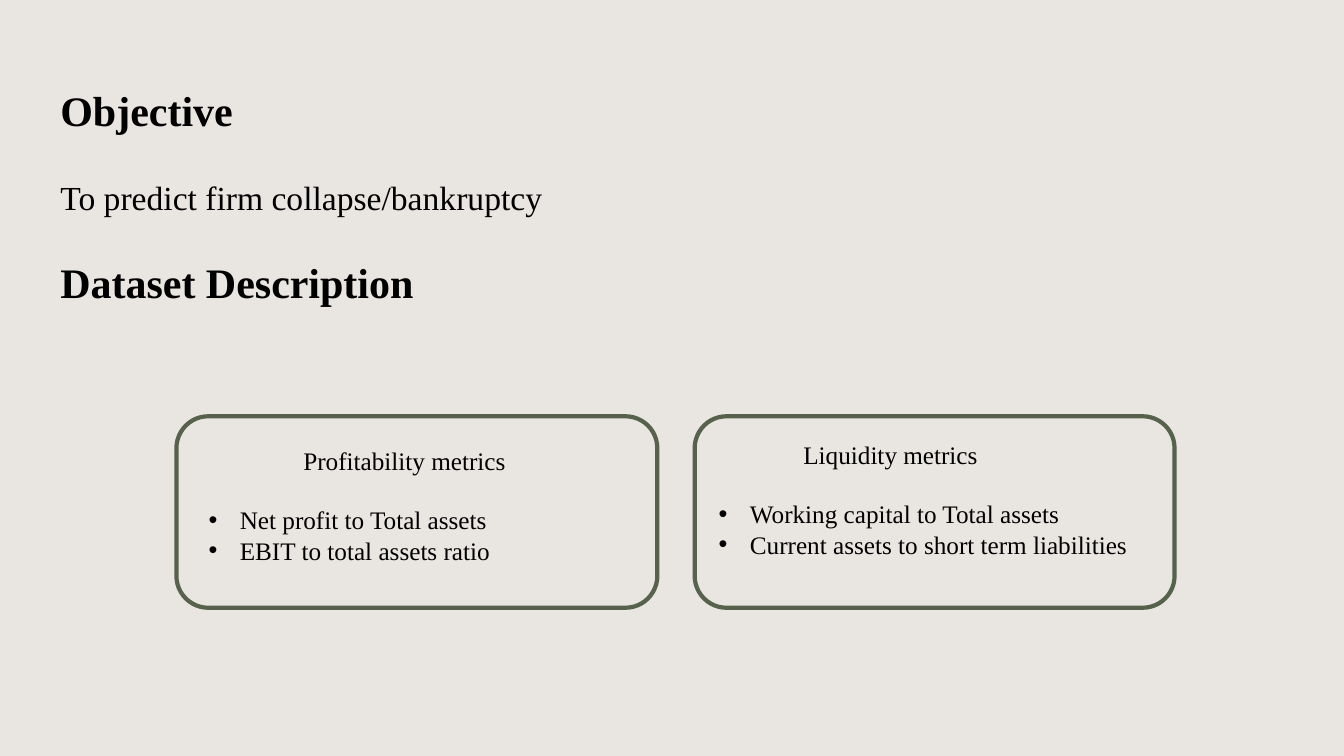
from lxml.etree import SubElement
from pptx import Presentation
from pptx.dml.color import RGBColor
from pptx.enum.shapes import MSO_SHAPE
from pptx.enum.text import MSO_ANCHOR
from pptx.oxml.ns import qn
from pptx.util import Inches, Pt

FONT = "Times New Roman"
BACKGROUND, INK, OUTLINE = "E9E5E1", "000000", "57624D"
BULLET_INDENT = 0.31


def color(hex_code):
    return RGBColor.from_string(hex_code)


def format_paragraph(paragraph, size, bold=False):
    for run in paragraph.runs:
        run.font.name = FONT
        run.font.size = Pt(size)
        run.font.bold = bold
        run.font.color.rgb = color(INK)


def add_text(slide, box, lines, size, bold=False, anchor=MSO_ANCHOR.TOP):
    frame = slide.shapes.add_textbox(*map(Inches, box)).text_frame
    frame.word_wrap = True
    frame.vertical_anchor = anchor
    frame.text = "\n".join(lines)
    for paragraph in frame.paragraphs:
        format_paragraph(paragraph, size, bold)
    return frame.paragraphs


def indent(paragraph, left, first=0):
    properties = paragraph._p.get_or_add_pPr()
    properties.set("marL", str(Inches(left)))
    properties.set("indent", str(Inches(first)))
    return properties


def add_bullet(paragraph):
    properties = indent(paragraph, BULLET_INDENT, -BULLET_INDENT)
    SubElement(properties, qn("a:buFont"), typeface="Arial")
    SubElement(properties, qn("a:buChar"), char="•")


def add_heading(slide, box, heading):
    add_text(slide, box, [heading], 30, True, MSO_ANCHOR.MIDDLE)


def add_objective(slide, box):
    left, top, width, height = box
    add_heading(slide, (left, top, width, 1.37), "Objective")
    statement, = add_text(slide, (left, top + 1.27, width, height - 1.27),
                          ["To predict firm collapse/bankruptcy"], 24)
    statement.line_spacing = 1.1
    statement.space_before = Pt(10)


def add_metrics_card(slide, box, text_inset, text_width, heading_indent, heading, metrics):
    left, top, width, height = box
    # Outlined card
    card = slide.shapes.add_shape(MSO_SHAPE.ROUNDED_RECTANGLE, *map(Inches, box))
    card.shadow.inherit = False
    card.fill.background()
    card.line.color.rgb = color(OUTLINE)
    card.line.width = Pt(3)
    # Heading and bulleted metrics
    inset_x, inset_y = text_inset
    title, *bullets = add_text(
        slide, (left + inset_x, top + inset_y, text_width, 1.31), [heading, *metrics], 18)
    indent(title, heading_indent)
    title.space_after = Pt(20.7)
    for bullet in bullets:
        add_bullet(bullet)


def main():
    presentation = Presentation()
    presentation.slide_width = Inches(13.33)
    presentation.slide_height = Inches(7.5)
    slide = presentation.slides.add_slide(presentation.slide_layouts[6])
    slide.background.fill.solid()
    slide.background.fill.fore_color.rgb = color(BACKGROUND)

    add_objective(slide, (0.5, 0.4, 11.92, 2.0))
    add_heading(slide, (0.5, 2.07, 11.92, 1.45), "Dataset Description")
    add_metrics_card(slide, (1.75, 4.13, 4.77, 1.9), (0.22, 0.24), 4.32, 0.94,
                     "Profitability metrics",
                     ["Net profit to Total assets", "EBIT to total assets ratio"])
    add_metrics_card(slide, (6.89, 4.13, 4.76, 1.9), (0.14, 0.18), 4.86, 0.84,
                     "Liquidity metrics",
                     ["Working capital to Total assets",
                      "Current assets to short term liabilities"])
    presentation.save("out.pptx")


if __name__ == "__main__":
    main()
